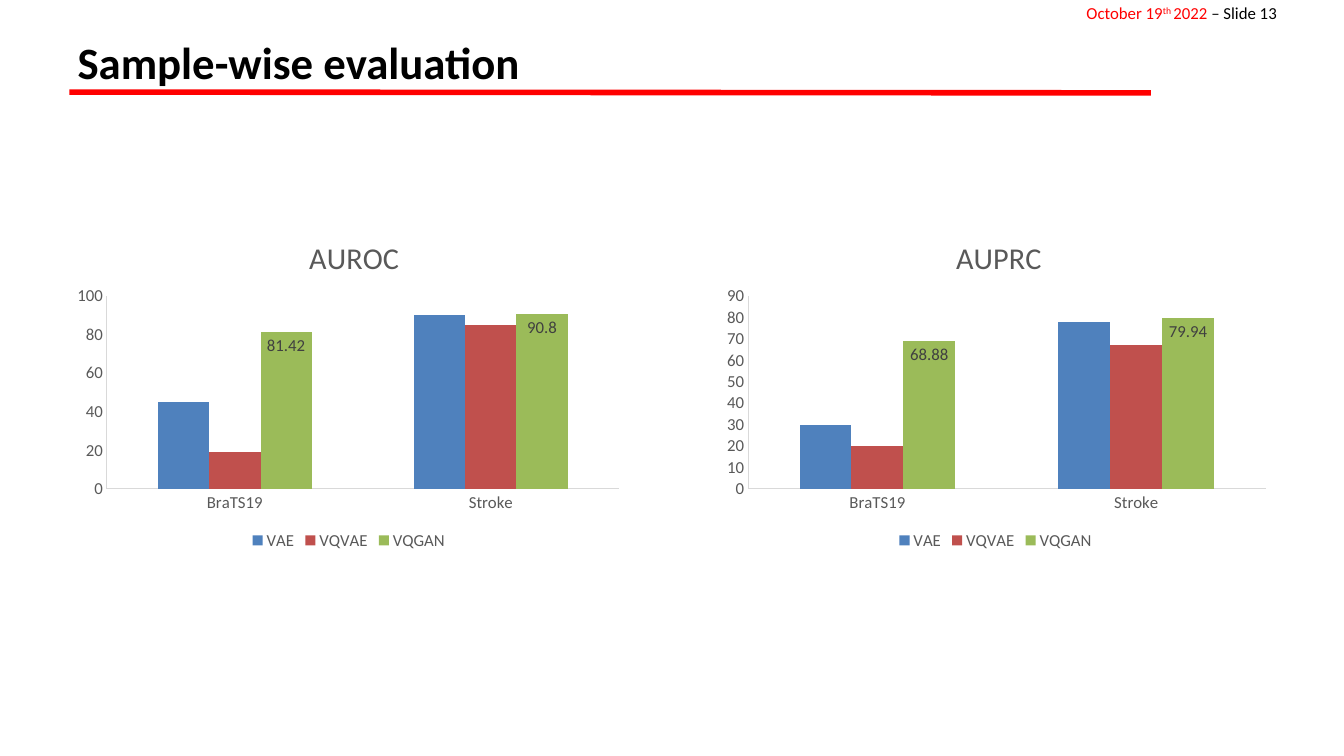
from dataclasses import dataclass

from lxml.etree import SubElement
from pptx import Presentation
from pptx.chart.data import CategoryChartData
from pptx.dml.color import RGBColor
from pptx.enum.chart import (XL_CHART_TYPE, XL_LABEL_POSITION,
                             XL_LEGEND_POSITION, XL_TICK_MARK)
from pptx.enum.shapes import MSO_CONNECTOR
from pptx.enum.text import MSO_ANCHOR, MSO_AUTO_SIZE, PP_ALIGN
from pptx.oxml import parse_xml
from pptx.oxml.ns import nsdecls, qn
from pptx.util import Cm, Pt


@dataclass(frozen=True)
class Theme:
    font: str = "Calibri"
    black: str = "000000"
    red: str = "FF0000"
    grey: str = "595959"
    label: str = "404040"
    axis: str = "D9D9D9"
    series: tuple = ("4F81BD", "C0504D", "9BBB59")
    title_size: float = 32
    chart_title_size: float = 21.6
    small_size: float = 12


class SlideBuilder:
    def __init__(self, prs, theme):
        self.theme = theme
        self.slide = prs.slides.add_slide(prs.slide_layouts[5])

    def style(self, font, size, color, bold=False):
        font.name = self.theme.font
        font.size = Pt(size)
        font.bold = bold
        font.color.rgb = RGBColor.from_string(color)

    def run(self, p, text, size, color, bold=False, baseline=None):
        r = p.add_run()
        r.text = text
        self.style(r.font, size, color, bold)
        if baseline:
            r.font._element.set("baseline", str(baseline))

    def title(self, text, left, top, width, height):
        sp = self.slide.shapes.title
        sp.left, sp.top, sp.width, sp.height = map(Cm, (left, top, width, height))
        tf = sp.text_frame
        tf.auto_size = MSO_AUTO_SIZE.NONE
        tf.vertical_anchor = MSO_ANCHOR.MIDDLE
        p = tf.paragraphs[0]
        p.alignment = PP_ALIGN.LEFT
        self.run(p, text, self.theme.title_size, self.theme.black, bold=True)

    def header(self, parts, left, top, width, height):
        sp = self.slide.shapes.add_textbox(*map(Cm, (left, top, width, height)))
        tf = sp.text_frame
        tf.word_wrap = True
        tf.vertical_anchor = MSO_ANCHOR.MIDDLE
        tf.margin_left = tf.margin_right = tf.margin_top = tf.margin_bottom = 0
        p = tf.paragraphs[0]
        p.alignment = PP_ALIGN.RIGHT
        for text, color, baseline in parts:
            self.run(p, text, self.theme.small_size, color, baseline=baseline)

    def rule(self, x1, y1, x2, y2, weight):
        line = self.slide.shapes.add_connector(
            MSO_CONNECTOR.STRAIGHT, *map(Cm, (x1, y1, x2, y2)))
        line.line.color.rgb = RGBColor.from_string(self.theme.red)
        line.line.width = Pt(weight)
        SubElement(line._element.spPr, qn("a:effectLst"))

    def place(self, parent, index, inner=False, **box):
        for old in parent.findall(qn("c:layout")):
            parent.remove(old)
        target = '<c:layoutTarget val="inner"/>' if inner else ""
        modes = "".join(f'<c:{k}Mode val="edge"/>' for k in "xy")
        sizes = "".join(f'<c:{k} val="{v}"/>' for k, v in box.items())
        parent.insert(index, parse_xml(
            f'<c:layout {nsdecls("c")}><c:manualLayout>'
            f'{target}{modes}{sizes}</c:manualLayout></c:layout>'))

    def axis(self, axis):
        axis.has_major_gridlines = False
        axis.major_tick_mark = axis.minor_tick_mark = XL_TICK_MARK.NONE
        axis.format.line.color.rgb = RGBColor.from_string(self.theme.axis)
        axis.format.line.width = Pt(0.75)
        self.style(axis.tick_labels.font, self.theme.small_size, self.theme.grey)

    def column_chart(self, name, categories, series, top_value, step, plot_box,
                     left, top, width, height):
        t = self.theme
        data = CategoryChartData()
        data.categories = categories
        for label, values in series.items():
            data.add_series(label, values)
        chart = self.slide.shapes.add_chart(
            XL_CHART_TYPE.COLUMN_CLUSTERED,
            *map(Cm, (left, top, width, height)), data).chart
        self.style(chart.font, t.small_size, t.grey)

        chart.has_title = True
        title = chart.chart_title
        self.run(title.text_frame.paragraphs[0], name, t.chart_title_size, t.grey)
        self.place(title._element, 1, x=0.42, y=0.06)

        chart.has_legend = True
        chart.legend.position = XL_LEGEND_POSITION.BOTTOM
        chart.legend.include_in_layout = False
        self.style(chart.legend.font, t.small_size, t.grey)

        self.axis(chart.category_axis)
        self.axis(chart.value_axis)
        chart.value_axis.minimum_scale = 0
        chart.value_axis.maximum_scale = top_value
        chart.value_axis.major_unit = step

        plot = chart.plots[0]
        plot.vary_by_categories = False
        plot.gap_width = 199
        plot.overlap = 0
        for ser, color in zip(plot.series, t.series):
            ser.format.fill.solid()
            ser.format.fill.fore_color.rgb = RGBColor.from_string(color)
        labels = plot.series[-1].data_labels
        labels.show_value = True
        labels.position = XL_LABEL_POSITION.INSIDE_END
        self.style(labels.font, t.small_size, t.label)
        self.place(chart._chartSpace.chart.plotArea, 0, inner=True, **plot_box)


def main():
    prs = Presentation()
    prs.slide_width, prs.slide_height = Cm(33.87), Cm(19.05)
    theme = Theme()
    s = SlideBuilder(prs, theme)
    left, width = 1.7, 30.48
    s.rule(1.75, 2.32, 29, 2.34, 4)
    s.header([("October 19", theme.red, None), ("th ", theme.red, 30000),
              ("2022", theme.red, None), (" – Slide 13", theme.black, None)],
             left, 0, width, 0.64)
    s.title("Sample-wise evaluation", left, 0.76, width, 1.57)

    categories = ["BraTS19", "Stroke"]
    charts = [
        ("AUROC", {"VAE": (45, 90), "VQVAE": (19, 85), "VQGAN": (81.42, 90.8)},
         100, 20, dict(x=0.07, y=0.25, w=0.91, h=0.56)),
        ("AUPRC", {"VAE": (30, 78), "VQVAE": (20, 67), "VQGAN": (68.88, 79.94)},
         90, 10, dict(x=0.06, y=0.25, w=0.92, h=0.56)),
    ]
    chart_width = 14.18
    pitch = width - chart_width
    for i, (name, series, top_value, step, box) in enumerate(charts):
        s.column_chart(name, categories, series, top_value, step, box,
                       left + i * pitch, 5.29, chart_width, 8.68)
    prs.save("out.pptx")


if __name__ == "__main__":
    main()
